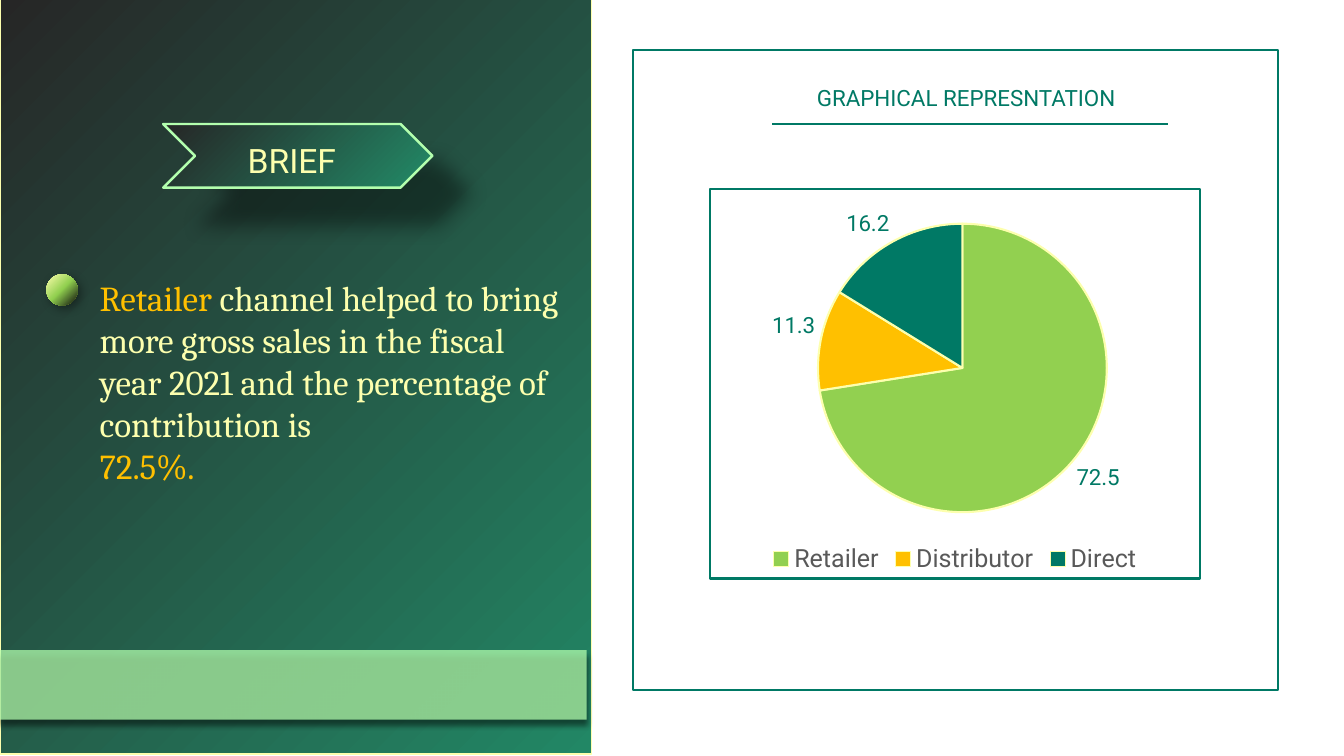
from dataclasses import dataclass

from lxml import etree
from pptx import Presentation
from pptx import chart as chart_package
from pptx import util as u
from pptx.chart.data import CategoryChartData
from pptx.dml.color import RGBColor
from pptx.enum import chart as charts, shapes, text
from pptx.oxml import parse_xml
from pptx.oxml.ns import nsdecls, qn

Pt = u.Pt


@dataclass(frozen=True)
class Theme:
    night: str = "262626"
    forest: str = "228765"
    mint: str = "D6FFBE"
    pale_green: str = "B3FFAE"
    cream: str = "FDFFAE"
    lime: str = "92D050"
    amber: str = "FFC000"
    teal: str = "007965"
    grey: str = "595959"
    black: str = "0D0D0D"
    sans: str = "Roboto"
    serif: str = "Cambria"
    heading: int = 24
    body: int = 25
    legend: int = 18
    small: int = 16


THEME = Theme()


def rgb(color):
    return RGBColor.from_string(color)


def effects(opacity=0, blur=0, distance=0, angle=0):
    """Effect list with one outer shadow, or an empty one without opacity."""
    shadow = ""
    if opacity:
        shadow = (f'<a:outerShdw blurRad="{Pt(blur)}" dist="{Pt(distance)}" dir="{angle * 60000}" '
                  f'algn="tl" rotWithShape="0"><a:srgbClr val="000000">'
                  f'<a:alpha val="{opacity * 1000}"/></a:srgbClr></a:outerShdw>')
    return parse_xml(f'<a:effectLst {nsdecls("a")}>{shadow}</a:effectLst>')


def set_line(line, color, width):
    line.color.rgb = rgb(color)
    line.width = Pt(width)


def add_block(page, kind, left, top, width, height, fill=None, line=None, shadow=None):
    """Preset shape; fill is a colour or a list of (percent, colour) stops."""
    block = page.shapes.add_shape(kind, Pt(left), Pt(top), Pt(width), Pt(height))
    if isinstance(fill, list):
        stops = "".join(f'<a:gs pos="{pos * 1000}"><a:srgbClr val="{color}"/></a:gs>'
                        for pos, color in fill)
        gradient = parse_xml(f'<a:gradFill {nsdecls("a")} rotWithShape="1"><a:gsLst>{stops}</a:gsLst>'
                             '<a:lin ang="2700000" scaled="0"/></a:gradFill>')
        block._element.spPr.find(qn("a:prstGeom")).addnext(gradient)
    elif fill:
        block.fill.solid()
        block.fill.fore_color.rgb = rgb(fill)
    else:
        block.fill.background()
    if line:
        set_line(block.line, *line)
    else:
        block.line.fill.background()
    if shadow:
        block._element.spPr.append(effects(*shadow))
    else:
        block.shadow.inherit = False
    return block


def add_text(page, left, top, width, height):
    """Empty wrapping text box; returns its first paragraph."""
    box = page.shapes.add_textbox(Pt(left), Pt(top), Pt(width), Pt(height))
    box.text_frame.word_wrap = True
    return box.text_frame.paragraphs[0]


def add_heading(page, left, top, wording, size, color):
    para = add_text(page, left, top, 303, 55)
    para.alignment = text.PP_ALIGN.CENTER
    para.line_spacing = 0.9
    para.font.size = Pt(size)
    para.font.name = THEME.sans
    para.font.color.rgb = rgb(color)
    span = para.add_run()
    span.text = wording
    return span


def add_brief(page, left, top, width, height):
    rectangle = shapes.MSO_SHAPE.RECTANGLE
    add_block(page, rectangle, left, top, width, height,
              [(0, THEME.night), (100, THEME.forest)], (THEME.cream, 1))
    add_block(page, shapes.MSO_SHAPE.CHEVRON, left + 116.6, top + 90, 192.3, 45.4,
              [(0, THEME.night), (96, THEME.forest), (100, THEME.mint)],
              (THEME.pale_green, 1.75), (40, 15, 37, 45))
    title = add_heading(page, left + 57, top + 100.8, "BRIEF", THEME.heading, THEME.cream)
    title._r.get_or_add_rPr().append(effects(40, 3, 3, 45))

    band = add_block(page, rectangle, left, top + 465.8, width - 3.6, 49.7,
                     THEME.pale_green, shadow=(66, 4, 4, 90))
    tint = band._element.spPr.find(qn("a:solidFill"))[0]
    etree.SubElement(tint, qn("a:alpha")).set("val", "74000")

    add_block(page, shapes.MSO_SHAPE.FLOWCHART_CONNECTOR, left + 33.1, top + 197.3, 22.3, 22.3,
              [(0, THEME.cream), (50, THEME.lime), (100, THEME.black)], shadow=(40, 7, 3, 45))

    para = add_text(page, left + 64.1, top + 195.2, 344.9, 158)
    para.font.size = Pt(THEME.body)
    para.font.name = THEME.serif
    finding = ("channel helped to bring more gross sales in the fiscal year 2021 "
               "and the percentage of contribution is ")
    for wording, color in (("Retailer ", THEME.amber), (finding, THEME.cream),
                           ("72.5%.", THEME.amber)):
        if wording == "72.5%.":
            para.add_line_break()
        span = para.add_run()
        span.text = wording
        span.font.color.rgb = rgb(color)


def style_font(font, size, color):
    font.size = Pt(size)
    font.name = THEME.sans
    font.color.rgb = rgb(color)


def add_pie(page, left, top, width, height):
    sales = CategoryChartData()
    sales.categories = ["Retailer", "Distributor", "Direct"]
    sales.add_series("Series 1", (72.5, 11.3, 16.2))
    chart = page.shapes.add_chart(charts.XL_CHART_TYPE.PIE, Pt(left), Pt(top),
                                  Pt(width), Pt(height), sales).chart
    chart.has_title = False
    style_font(chart.font, THEME.small, THEME.teal)
    chart.has_legend = True
    chart.legend.position = charts.XL_LEGEND_POSITION.BOTTOM
    chart.legend.include_in_layout = False
    style_font(chart.legend.font, THEME.legend, THEME.grey)

    plot = chart.plots[0]
    plot.vary_by_categories = True
    for index, color in enumerate((THEME.lime, THEME.amber, THEME.teal)):
        piece = plot.series[0].points[index].format
        piece.fill.solid()
        piece.fill.fore_color.rgb = rgb(color)
        set_line(piece.line, THEME.cream, 1.5)
    plot.has_data_labels = True
    labels = plot.data_labels
    labels.show_value = True
    labels.show_percentage = False
    labels.position = charts.XL_LABEL_POSITION.OUTSIDE_END
    style_font(labels.font, THEME.small, THEME.teal)

    root = chart._chartSpace
    area = root.find(".//" + qn("c:plotArea"))
    for old in area.findall(qn("c:layout")):
        area.remove(old)
    places = "".join(f'<c:{name} val="{value}"/>' for name, value in (
        ("layoutTarget", "inner"), ("xMode", "edge"), ("yMode", "edge"),
        ("x", 0.22), ("y", 0.09), ("w", 0.59), ("h", 0.74)))
    area.insert(0, parse_xml(f'<c:layout {nsdecls("c")}><c:manualLayout>{places}'
                             '</c:manualLayout></c:layout>'))
    root.find(qn("c:chart")).addnext(parse_xml(
        f'<c:spPr {nsdecls("c", "a")}><a:noFill/><a:ln w="{Pt(1.5)}"><a:solidFill>'
        f'<a:srgbClr val="{THEME.teal}"/></a:solidFill></a:ln></c:spPr>'))


def add_graph(page, left, top, width, height):
    add_block(page, shapes.MSO_SHAPE.RECTANGLE, left, top, width, height,
              line=(THEME.teal, 1.5))
    add_heading(page, left + 86.4, top + 23, "GRAPHICAL REPRESNTATION", THEME.small, THEME.teal)
    rule = page.shapes.add_connector(shapes.MSO_CONNECTOR.STRAIGHT, Pt(left + 99.4),
                                     Pt(top + 52.6), Pt(left + 382.4), Pt(top + 52.6))
    set_line(rule.line, THEME.teal, 1.5)
    rule._element.spPr.append(effects())
    add_pie(page, left + 54, top + 98, 352, 280)


def main():
    deck = Presentation()
    deck.slide_width, deck.slide_height = Pt(960), Pt(540)
    page = deck.slides.add_slide(deck.slide_layouts[6])
    add_brief(page, 0, -1.4, 422.6, 540)
    add_graph(page, 452.2, 36, 460.8, 457.2)
    deck.save("out.pptx")


if __name__ == "__main__":
    main()
